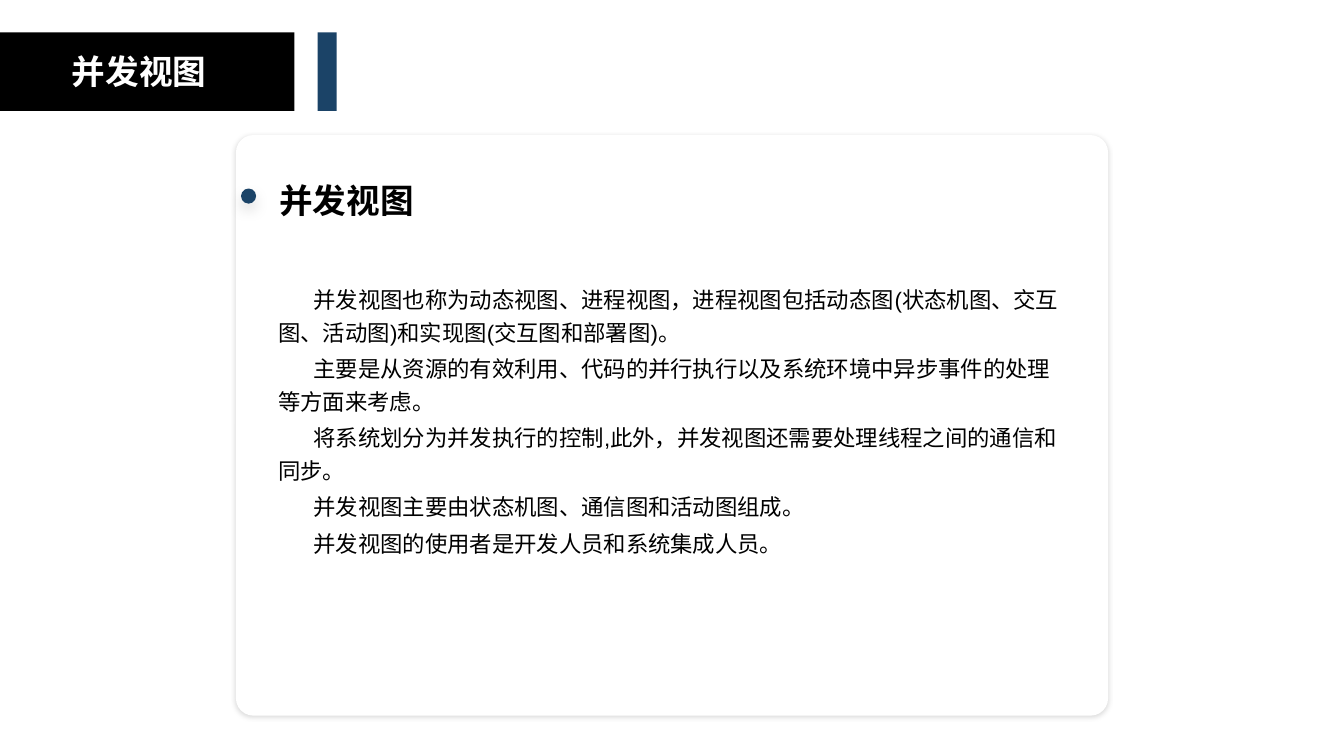
from dataclasses import dataclass

from lxml.etree import SubElement
from pptx import Presentation
from pptx.dml.color import RGBColor
from pptx.enum.shapes import MSO_SHAPE as SHAPE
from pptx.enum.text import MSO_AUTO_SIZE as AUTO, PP_ALIGN as ALIGN
from pptx.oxml.ns import qn
from pptx.util import Pt

PX = 9144  # 100 px to the inch


@dataclass(frozen=True)
class Theme:
    black: str = "000000"
    white: str = "FFFFFF"
    navy: str = "1B4367"
    heading: int = 24
    body: int = 16
    title_font: str = "Noto Sans CJK SC"
    font: str = "Arial"


T = Theme()
TITLE = "并发视图"
BODY = [
    "并发视图也称为动态视图、进程视图，进程视图包括动态图(状态机图、交互图、活动图)和实现图(交互图和部署图)。",
    "主要是从资源的有效利用、代码的并行执行以及系统环境中异步事件的处理等方面来考虑。",
    "将系统划分为并发执行的控制,此外，并发视图还需要处理线程之间的通信和同步。",
    "并发视图主要由状态机图、通信图和活动图组成。",
    "并发视图的使用者是开发人员和系统集成人员。",
]


def emu(*lengths):
    return [n * PX for n in lengths]


def add_block(slide, kind, box, fill):
    sp = slide.shapes.add_shape(kind, *emu(*box))
    sp.shadow.inherit = False
    sp.fill.solid()
    sp.fill.fore_color.rgb = RGBColor.from_string(fill)
    sp.line.fill.background()
    return sp


def drop_shadow(sp, alpha, blur, dist):
    """Cast a black shadow straight down; blur and dist in points, alpha in percent."""
    effects = sp._element.spPr.find(qn("a:effectLst"))
    shadow = SubElement(effects, qn("a:outerShdw"), blurRad=str(Pt(blur)),
                        dist=str(Pt(dist)), dir="5400000", algn="t", rotWithShape="0")
    color = SubElement(shadow, qn("a:srgbClr"), val=T.black)
    SubElement(color, qn("a:alpha"), val=str(alpha * 1000))


def add_text(slide, box, paragraphs, size=T.body, font=T.font, color=T.black, bold=False,
             align=ALIGN.LEFT, inset=0, spacing=1.0, gap=0, indent=0):
    tf = slide.shapes.add_textbox(*emu(*box)).text_frame
    tf.word_wrap = True
    tf.auto_size = AUTO.SHAPE_TO_FIT_TEXT
    tf.margin_left = tf.margin_right = inset * 2 * PX
    tf.margin_top = tf.margin_bottom = inset * PX
    for i, text in enumerate(paragraphs):
        p = tf.paragraphs[0] if i == 0 else tf.add_paragraph()
        p.alignment = align
        p.line_spacing = spacing
        if i:
            p.space_before = Pt(gap)
        if indent:
            p._p.get_or_add_pPr().set("indent", str(indent * PX))
        r = p.add_run()
        r.text = text
        r.font.size = Pt(size)
        r.font.name = font
        r.font.bold = bold
        r.font.color.rgb = RGBColor.from_string(color)


def add_title_bar(slide, x, y, w, h):
    add_block(slide, SHAPE.RECTANGLE, (x, y, w, h), T.black)
    add_block(slide, SHAPE.RECTANGLE, (x + w + 23, y, 19, h), T.navy)
    add_text(slide, (x, y + 14, w - 16, h - 28), [TITLE], size=T.heading, font=T.title_font,
             color=T.white, bold=True, align=ALIGN.CENTER, inset=5)


def add_card(slide, x, y, w, h):
    card = add_block(slide, SHAPE.ROUNDED_RECTANGLE, (x, y, w, h), T.white)
    card.adjustments[0] = 0.03
    drop_shadow(card, alpha=15, blur=3, dist=1)
    dot = add_block(slide, SHAPE.OVAL, (x + 5, y + 53, 15, 15), T.navy)
    drop_shadow(dot, alpha=12, blur=10, dist=5)
    add_text(slide, (x + 43, y + 36, 414, 48), [TITLE], size=T.heading, bold=True, spacing=1.2)
    add_text(slide, (x + 42, y + 145, w - 86, 317), BODY, spacing=1.2, gap=3.2, indent=35)


def main():
    prs = Presentation()
    prs.slide_width, prs.slide_height = emu(1333, 750)
    slide = prs.slides.add_slide(prs.slide_layouts[6])
    add_title_bar(slide, 0, 32, 292, 78)
    add_card(slide, 234, 134, 865, 576)
    prs.save("out.pptx")


if __name__ == "__main__":
    main()
